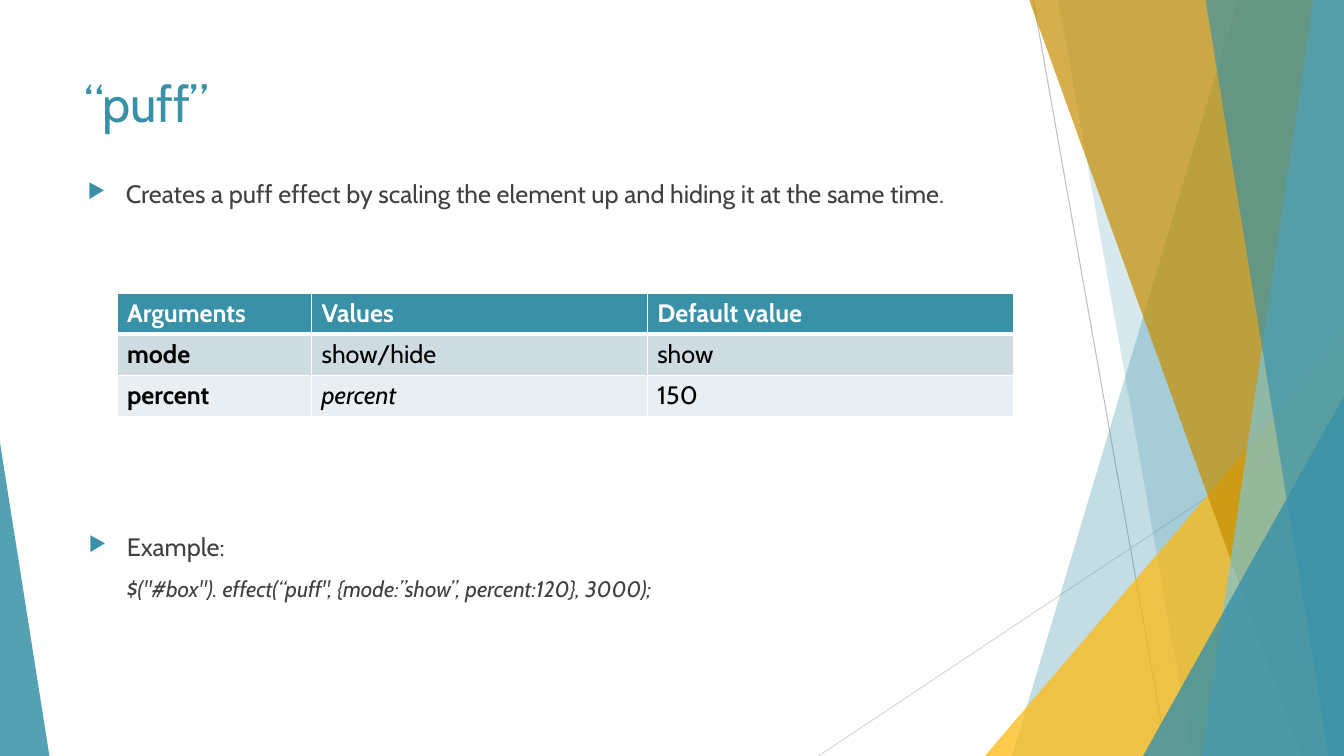
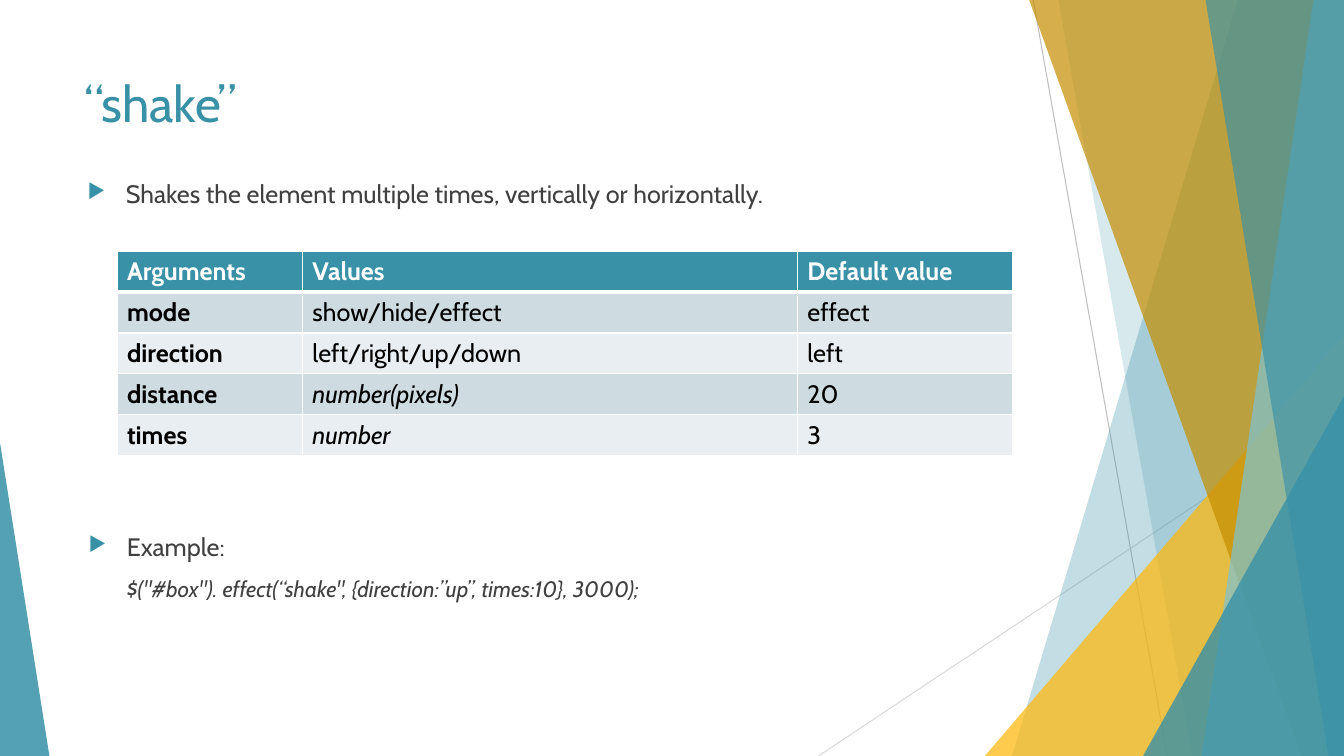
from dataclasses import dataclass

from lxml.etree import SubElement
from pptx import Presentation
from pptx.dml.color import RGBColor
from pptx.enum.shapes import MSO_CONNECTOR as Connector, MSO_SHAPE as Shape
from pptx.enum.text import MSO_ANCHOR as Anchor
from pptx.oxml.ns import qn
from pptx.util import Inches, Pt


@dataclass(frozen=True)
class Theme:
    font: str = "Cabin"
    teal: str = "3891A7"
    sky: str = "7EC3D4"
    gold: str = "FEB80A"
    ochre: str = "C58D01"
    text: str = "404040"
    white: str = "FFFFFF"
    black: str = "000000"
    row_tints: tuple = ("CEDCE1", "E8EEF1")
    dark_rule: str = "BFBFBF"
    light_rule: str = "D9D9D9"
    title_size: int = 36
    body_size: int = 18
    code_size: int = 16


THEME = Theme()
WIDTH, HEIGHT = Inches(13.33), Inches(7.5)
INDENT = Inches(0.38)
CONTENT_WIDTH = 70.5
TABLE_LEFT, ROW_HEIGHT = 8.7, 5.42
HEADINGS = ("Arguments", "Values", "Default value")
FREE_VALUES = {"percent", "number(pixels)", "number"}

# Rules: start x, start y, end x, end y, colour (percent of the slide)
RULES = (
    (76.88, 0, 86.85, 100, THEME.dark_rule),
    (100, 53.73, 60.9, 100, THEME.light_rule),
)
# Bands reach the right edge: top x, bottom x, colour, opacity
BACK_BANDS = (
    (92.1, 75.3, THEME.teal, 30),
    (78.75, 88.73, THEME.teal, 20),
)
FRONT_BANDS = (
    (76.58, 96.83, THEME.ochre, 70),
    (97.73, 89.4, THEME.sky, 70),
    (89.7, 98.85, THEME.teal, 65),
)
# Corners stand on the bottom edge: left, right, top, apex, colour, opacity
GOLD_CORNER = (73.28, 100, 44.4, 1, THEME.gold, 72)
TEAL_CORNERS = (
    (85.05, 100, 52.4, 1, THEME.teal, 80),
    (0, 3.68, 58.53, 0, THEME.teal, 85),
)

EFFECTS = (
    {
        "title": "“puff”",
        "summary": "Creates a puff effect by scaling the element up and hiding it at the same time.",
        "table_top": 38.8,
        "columns": (14.48, 24.98, 27.23),
        "arguments": (
            ("mode", "show/hide", "show"),
            ("percent", "percent", "150"),
        ),
        "code": '$("#box"). effect(“puff", {mode:”show”, percent:120}, 3000);',
    },
    {
        "title": "“shake”",
        "summary": "Shakes the element multiple times, vertically or horizontally.",
        "table_top": 33.2,
        "columns": (13.8, 36.83, 16.05),
        "arguments": (
            ("mode", "show/hide/effect", "effect"),
            ("direction", "left/right/up/down", "left"),
            ("distance", "number(pixels)", "20"),
            ("times", "number", "3"),
        ),
        "code": '$("#box"). effect(“shake", {direction:”up”, times:10}, 3000);',
    },
)


def across(percent):
    return round(WIDTH * percent / 100)


def down(percent):
    return round(HEIGHT * percent / 100)


def rgb(colour):
    return RGBColor.from_string(colour)


def paint(shape, colour, opacity):
    """Give a shape a translucent fill with no line or shadow."""
    shape.shadow.inherit = False
    shape.line.fill.background()
    shape.fill.solid()
    shape.fill.fore_color.rgb = rgb(colour)
    tone = shape.element.spPr.find(qn("a:solidFill"))[0]
    SubElement(tone, qn("a:alpha"), val=str(opacity * 1000))


def add_rule(slide, x1, y1, x2, y2, colour):
    rule = slide.shapes.add_connector(
        Connector.STRAIGHT, across(x1), down(y1), across(x2), down(y2))
    rule.line.width = Pt(0.75)
    rule.line.color.rgb = rgb(colour)
    SubElement(rule.element.spPr, qn("a:effectLst"))


def add_band(slide, top_x, bottom_x, colour, opacity):
    outline = slide.shapes.build_freeform(across(top_x), 0)
    outline.add_line_segments(
        [(WIDTH, 0), (WIDTH, HEIGHT), (across(bottom_x), HEIGHT)], close=True)
    paint(outline.convert_to_shape(), colour, opacity)


def add_corner(slide, left, right, top, apex, colour, opacity):
    corner = slide.shapes.add_shape(
        Shape.ISOSCELES_TRIANGLE, across(left), down(top),
        across(right - left), down(100 - top))
    corner.adjustments[0] = apex
    paint(corner, colour, opacity)


def add_backdrop(slide):
    for rule in RULES:
        add_rule(slide, *rule)
    for band in BACK_BANDS:
        add_band(slide, *band)
    add_corner(slide, *GOLD_CORNER)
    for band in FRONT_BANDS:
        add_band(slide, *band)
    for corner in TEAL_CORNERS:
        add_corner(slide, *corner)


def write(paragraph, text, colour, **formats):
    run = paragraph.add_run()
    run.text = text
    settings = {"name": THEME.font, "size": Pt(THEME.body_size), **formats}
    for attribute, value in settings.items():
        setattr(run.font, attribute, value)
    run.font.color.rgb = rgb(colour)


def add_text_frame(slide, left, top, height):
    frame = slide.shapes.add_textbox(
        across(left), down(top), across(CONTENT_WIDTH), down(height)).text_frame
    frame.word_wrap = True
    frame.vertical_anchor = Anchor.TOP
    return frame


def indent(paragraph, bulleted):
    properties = paragraph._p.get_or_add_pPr()
    properties.set("marL", str(INDENT))
    properties.set("indent", str(-INDENT if bulleted else 0))
    if bulleted:
        tone = SubElement(properties, qn("a:buClr"))
        SubElement(tone, qn("a:srgbClr"), val=THEME.teal)
        SubElement(properties, qn("a:buSzPct"), val="80000")
        SubElement(properties, qn("a:buChar"), char="▶")
    else:
        SubElement(properties, qn("a:buNone"))


def add_title(slide, title):
    frame = add_text_frame(slide, 5.55, 8.93, 12)
    write(frame.paragraphs[0], title, THEME.teal, size=Pt(THEME.title_size))


def add_bullet(slide, left, top, height, text):
    frame = add_text_frame(slide, left, top, height)
    bullet = frame.paragraphs[0]
    indent(bullet, bulleted=True)
    write(bullet, text, THEME.text)
    return frame


def add_example(slide, code):
    frame = add_bullet(slide, 5.85, 69.6, 22, "Example:")
    listing = frame.add_paragraph()
    indent(listing, bulleted=False)
    listing.space_before = Pt(10)
    write(listing, code, THEME.text, size=Pt(THEME.code_size), italic=True)


def set_border(cell, side, points):
    edge = SubElement(cell._tc.get_or_add_tcPr(), qn(f"a:ln{side}"),
                      w=str(Pt(points)))
    SubElement(SubElement(edge, qn("a:solidFill")), qn("a:srgbClr"),
               val=THEME.white)


def fill_cell(cell, text, is_header, tint, **formats):
    edges = {"L": 1, "R": 1}
    edges.update({"T": 1, "B": 3} if is_header else {"B": 1})
    for side, points in edges.items():
        set_border(cell, side, points)
    cell.fill.solid()
    cell.fill.fore_color.rgb = rgb(tint)
    colour = THEME.white if is_header else THEME.black
    write(cell.text_frame.paragraphs[0], text, colour, **formats)


def add_argument_table(slide, top, columns, arguments):
    rows = (HEADINGS, *arguments)
    table = slide.shapes.add_table(
        len(rows), len(columns), across(TABLE_LEFT), down(top),
        across(sum(columns)), down(ROW_HEIGHT * len(rows))).table
    table.horz_banding = False
    for column, width in zip(table.columns, columns):
        column.width = across(width)
    for r, values in enumerate(rows):
        table.rows[r].height = down(ROW_HEIGHT)
        is_header = r == 0
        tint = THEME.teal if is_header else THEME.row_tints[(r - 1) % 2]
        for c, value in enumerate(values):
            fill_cell(table.cell(r, c), value, is_header, tint,
                      bold=is_header or c == 0,
                      italic=c == 1 and value in FREE_VALUES)


def add_effect_slide(deck, effect):
    slide = deck.slides.add_slide(deck.slide_layouts[6])
    add_backdrop(slide)
    add_title(slide, effect["title"])
    add_bullet(slide, 5.78, 22.93, 8, effect["summary"])
    add_argument_table(slide, effect["table_top"], effect["columns"],
                       effect["arguments"])
    add_example(slide, effect["code"])


def main():
    deck = Presentation()
    deck.slide_width, deck.slide_height = WIDTH, HEIGHT
    for effect in EFFECTS:
        add_effect_slide(deck, effect)
    deck.save("out.pptx")


if __name__ == "__main__":
    main()
